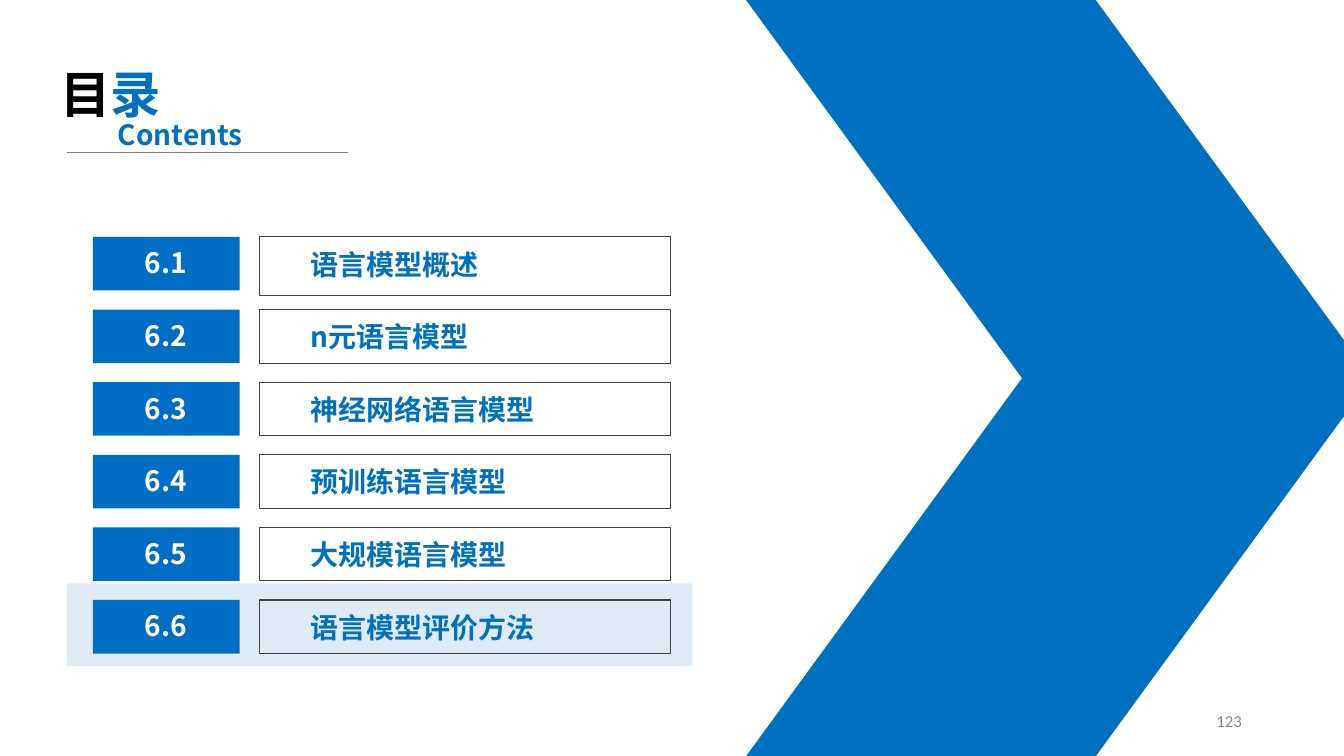
from lxml import etree
from pptx import Presentation
from pptx.dml.color import RGBColor
from pptx.enum.shapes import MSO_CONNECTOR, MSO_SHAPE
from pptx.enum.text import MSO_ANCHOR, MSO_AUTO_SIZE, PP_ALIGN
from pptx.oxml.ns import qn
from pptx.util import Cm, Pt

RECTANGLE = MSO_SHAPE.RECTANGLE
PARALLELOGRAM = MSO_SHAPE.PARALLELOGRAM
STRAIGHT = MSO_CONNECTOR.STRAIGHT
LEFT, CENTER, RIGHT = PP_ALIGN.LEFT, PP_ALIGN.CENTER, PP_ALIGN.RIGHT
MIDDLE = MSO_ANCHOR.MIDDLE
FIT_TEXT = MSO_AUTO_SIZE.SHAPE_TO_FIT_TEXT

COLORS = {
    "blue": "0070C0",
    "number": "006EC5",
    "highlight": "DEEBF7",
    "border": "404040",
    "rule": "7F7F7F",
    "page": "898989",
    "black": "000000",
    "white": "FFFFFF",
}
HEADING_FONT = "Noto Sans CJK SC"
PAGE_FONT = "Calibri"

SECTIONS = [
    "语言模型概述",
    "n元语言模型",
    "神经网络语言模型",
    "预训练语言模型",
    "大规模语言模型",
    "语言模型评价方法",
]
CURRENT_SECTION = 6
FIRST_TOP, ROW_PITCH, ROW_HEIGHT = 5.97, 1.83, 1.35
FIRST_FRAME_HEIGHT = 1.48


def color(name):
    return RGBColor.from_string(COLORS[name])


def add_block(slide, kind, left, top, width, height, fill=None, border=None):
    block = slide.shapes.add_shape(kind, Cm(left), Cm(top), Cm(width), Cm(height))
    block.shadow.inherit = False
    if fill:
        block.fill.solid()
        block.fill.fore_color.rgb = color(fill)
    else:
        block.fill.background()
    if border:
        block.line.color.rgb = color(border)
        block.line.width = Pt(0.75)
    else:
        block.line.fill.background()
    return block


def add_label(slide, left, top, width, height, runs, size=20, align=LEFT,
              font=HEADING_FONT, bold=True):
    """Add one line of text; runs is a list of (text, color name)."""
    label = slide.shapes.add_textbox(Cm(left), Cm(top), Cm(width), Cm(height))
    frame = label.text_frame
    frame.word_wrap = True
    frame.auto_size = FIT_TEXT
    line = frame.paragraphs[0]
    line.alignment = align
    for text, color_name in runs:
        run = line.add_run()
        run.text = text
        run.font.size = Pt(size)
        run.font.bold = bold
        run.font.name = font
        run.font.color.rgb = color(color_name)
        east_asian = etree.SubElement(run.font._element, qn("a:ea"))
        east_asian.set("typeface", font)
    return label


def add_chevron(slide):
    """Two mirrored parallelograms that meet at mid-height."""
    half_height = 9.53
    for top, mirrored in ((half_height, False), (0, True)):
        arm = add_block(slide, PARALLELOGRAM, 18.8, top, 15.77, half_height, "blue")
        arm.adjustments[0] = 0.73
        if mirrored:
            arm._element.spPr.find(qn("a:xfrm")).set("flipV", "1")


def add_title(slide):
    add_label(slide, 1.27, 1.47, 3.99, 1.8, [("目", "black"), ("录", "blue")], size=36)
    rule = slide.shapes.add_connector(STRAIGHT, Cm(1.68), Cm(3.84), Cm(8.76), Cm(3.84))
    rule.line.color.rgb = color("rule")
    rule.line.width = Pt(0.5)
    etree.SubElement(rule._element.spPr, qn("a:effectLst"))
    add_label(slide, 2.72, 2.84, 3.99, 1.12, [("Contents", "blue")])


def add_section(slide, number, name):
    top = FIRST_TOP + (number - 1) * ROW_PITCH
    frame_height = FIRST_FRAME_HEIGHT if number == 1 else ROW_HEIGHT
    if number == CURRENT_SECTION:
        add_block(slide, RECTANGLE, 1.68, top - 0.42, 15.77, 2.08, "highlight")
    add_block(slide, RECTANGLE, 6.55, top, 10.36, frame_height, border="border")
    add_label(slide, 7.57, top + 0.13, 9.35, 1.12, [(name, "blue")])
    add_block(slide, RECTANGLE, 2.34, top, 3.7, ROW_HEIGHT, "number")
    add_label(slide, 2.84, top + 0.1, 2.67, 1.12, [(f"6.{number}", "white")],
              align=CENTER)


def add_page_number(slide):
    page = add_label(slide, 23.93, 17.65, 7.62, 1.02, [("123", "page")], size=12,
                     align=RIGHT, font=PAGE_FONT, bold=False)
    page.text_frame.auto_size = MSO_AUTO_SIZE.NONE
    page.text_frame.vertical_anchor = MIDDLE


def main():
    deck = Presentation()
    deck.slide_width, deck.slide_height = Cm(33.87), Cm(19.05)
    slide = deck.slides.add_slide(deck.slide_layouts[6])
    add_chevron(slide)
    add_title(slide)
    for number, name in enumerate(SECTIONS, 1):
        add_section(slide, number, name)
    add_page_number(slide)
    deck.save("out.pptx")


if __name__ == "__main__":
    main()
